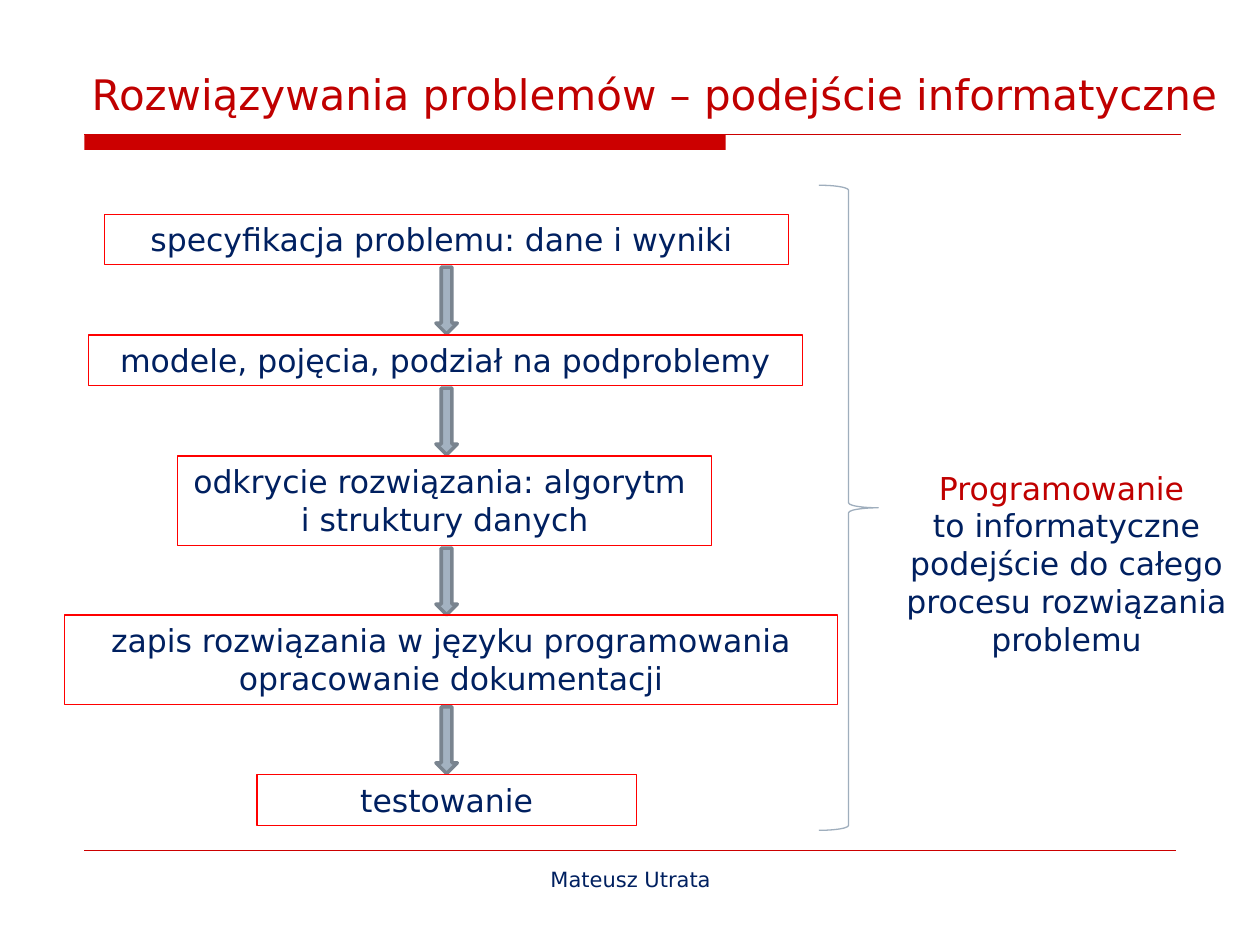
from dataclasses import dataclass

from lxml.etree import SubElement
from pptx import Presentation
from pptx.dml.color import RGBColor
from pptx.enum.shapes import MSO_CONNECTOR, MSO_SHAPE
from pptx.enum.text import MSO_ANCHOR, PP_ALIGN
from pptx.oxml.ns import qn
from pptx.util import Inches, Pt


@dataclass(frozen=True)
class Theme:
    """Colours, font and type sizes of the deck."""
    font: str = "DejaVu Sans"
    title_size: int = 24
    body_size: int = 18
    footer_size: int = 12
    navy: str = "002060"
    crimson: str = "C00000"
    rule: str = "CC0000"
    frame: str = "FF0000"
    arrow: str = "A3B2C1"
    arrow_edge: str = "79848F"
    brace: str = "9FAEBD"


THEME = Theme()

STEPS = [
    ((0.83, 1.7, 5.43, 0.4), ["specyfikacja problemu: dane i wyniki "]),
    ((0.7, 2.66, 5.67, 0.4), ["modele, pojęcia, podział na podproblemy"]),
    ((1.41, 3.62, 4.24, 0.71), ["odkrycie rozwiązania: algorytm ", "i struktury danych"]),
    ((0.51, 4.88, 6.14, 0.71),
     ["zapis rozwiązania w języku programowania", "opracowanie dokumentacji"]),
    ((2.04, 6.15, 3.01, 0.4), ["testowanie"]),
]


def write(shape, lines, size, align=PP_ALIGN.CENTER, anchor=MSO_ANCHOR.TOP):
    """Fill a shape with paragraphs given as (text, colour) pairs."""
    frame = shape.text_frame
    frame.word_wrap = True
    frame.vertical_anchor = anchor
    for index, (text, colour) in enumerate(lines):
        para = frame.add_paragraph() if index else frame.paragraphs[0]
        para.alignment = align
        span = para.add_run()
        span.text = text
        span.font.name = THEME.font
        span.font.size = Pt(size)
        span.font.color.rgb = RGBColor.from_string(colour)


def add_text(page, box, lines, size, **layout):
    """Place a text box."""
    write(page.shapes.add_textbox(*map(Inches, box)), lines, size, **layout)


def add_preset(page, kind, box, fill=None, line=None, width=0.75):
    """Place a flat preset shape with optional fill and outline."""
    shape = page.shapes.add_shape(kind, *map(Inches, box))
    shape.shadow.inherit = False
    if fill:
        shape.fill.solid()
        shape.fill.fore_color.rgb = RGBColor.from_string(fill)
    else:
        shape.fill.background()
    if line:
        shape.line.color.rgb = RGBColor.from_string(line)
        shape.line.width = Pt(width)
    else:
        shape.line.fill.background()
    return shape


def add_rule(page, left, right, top, width):
    """Draw a thin horizontal rule."""
    rule = page.shapes.add_connector(
        MSO_CONNECTOR.STRAIGHT, Inches(left), Inches(top), Inches(right), Inches(top))
    rule.line.color.rgb = RGBColor.from_string(THEME.rule)
    rule.line.width = Pt(width)
    SubElement(rule._element.spPr, qn("a:effectLst"))


def add_header(page, box):
    """Place the title with its thick and thin rule."""
    left, top, width, height = box
    add_preset(page, MSO_SHAPE.RECTANGLE, (0.67, 1.07, 5.09, 0.12), fill=THEME.rule)
    add_rule(page, 0.67, 9.37, 1.07, 0.75)
    add_text(page, (left, top, width, height),
             [("Rozwiązywania problemów – podejście informatyczne", THEME.crimson)],
             THEME.title_size, align=PP_ALIGN.LEFT, anchor=MSO_ANCHOR.BOTTOM)


def add_steps(page, steps, arrow_left=3.46):
    """Stack the framed steps and put a down arrow under each but the last."""
    for index, (box, lines) in enumerate(steps):
        frame = add_preset(page, MSO_SHAPE.RECTANGLE, box, line=THEME.frame)
        write(frame, [(text, THEME.navy) for text in lines], THEME.body_size)
        if index < len(steps) - 1:
            bottom = box[1] + box[3]
            add_preset(page, MSO_SHAPE.DOWN_ARROW, (arrow_left, bottom + 0.02, 0.17, 0.53),
                       fill=THEME.arrow, line=THEME.arrow_edge, width=2)


def add_summary(page, box):
    """Place the brace and the conclusion beside it."""
    left, top, width, height = box
    add_preset(page, MSO_SHAPE.RIGHT_BRACE, (left, top, 0.47, height), line=THEME.brace)
    add_text(page, (left + 0.39, top + 2.2, width - 0.39, 1.62),
             [("Programowanie ", THEME.crimson),
              ("to informatyczne podejście do całego procesu rozwiązania problemu", THEME.navy)],
             THEME.body_size)


def add_footer(page, box):
    """Place the footer rule and the author."""
    add_rule(page, 0.67, 9.33, 6.75, 0.25)
    add_text(page, box, [("Mateusz Utrata", THEME.navy)], THEME.footer_size)


def main():
    """Build and save the deck."""
    deck = Presentation()
    deck.slide_width, deck.slide_height = Inches(10), Inches(7.5)
    page = deck.slides.add_slide(deck.slide_layouts[6])
    add_header(page, (0.63, 0.33, 9.37, 0.66))
    add_steps(page, STEPS)
    add_summary(page, (6.5, 1.47, 3.54, 5.12))
    add_footer(page, (3.42, 6.83, 3.17, 0.52))
    deck.save("out.pptx")


if __name__ == "__main__":
    main()
